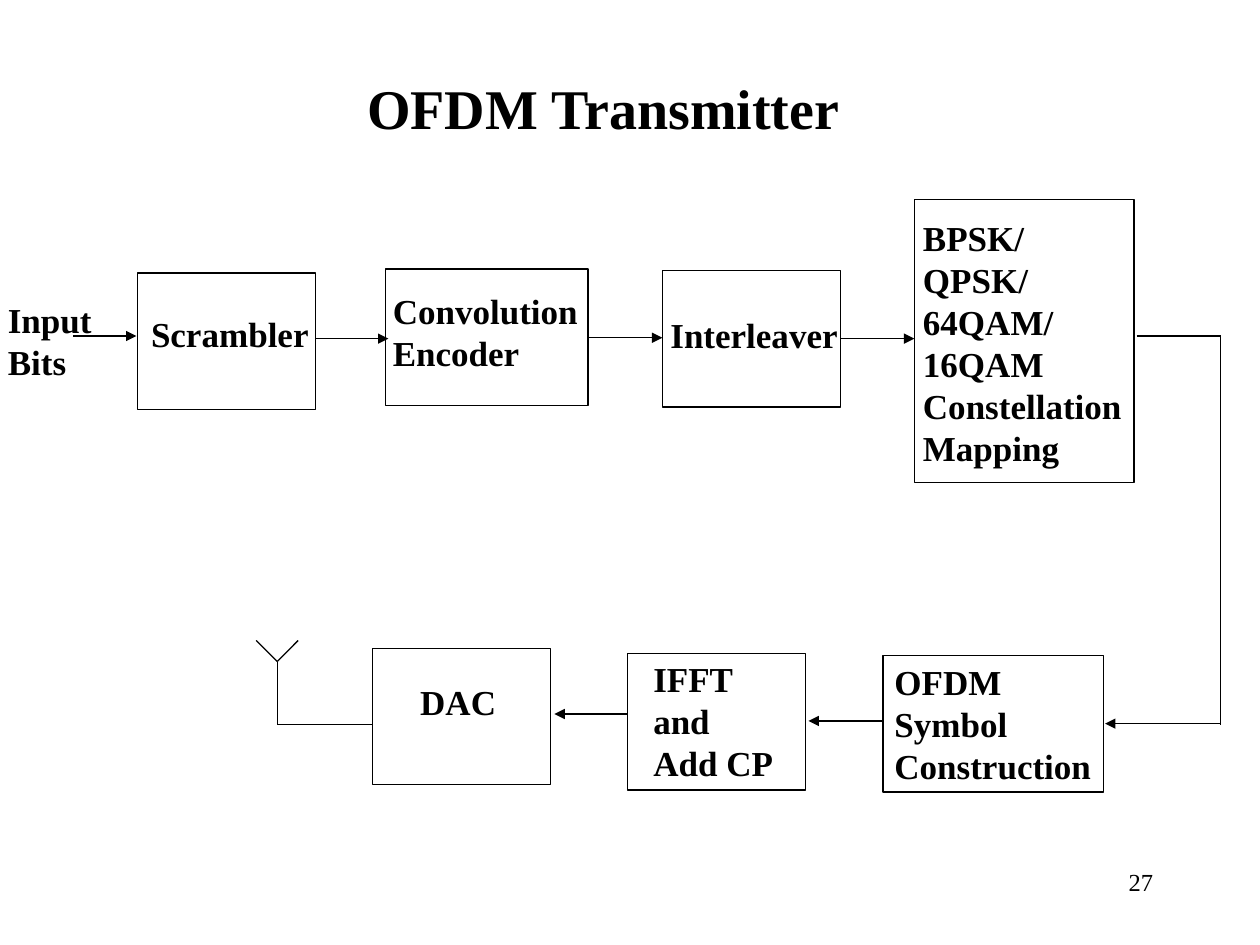
from dataclasses import dataclass

from lxml import etree
from pptx import Presentation
from pptx.dml.color import RGBColor
from pptx.enum.shapes import MSO_CONNECTOR, MSO_SHAPE
from pptx.enum.text import PP_ALIGN
from pptx.oxml.ns import qn
from pptx.util import Pt

RECTANGLE = MSO_SHAPE.RECTANGLE
STRAIGHT = MSO_CONNECTOR.STRAIGHT
LEFT, RIGHT = PP_ALIGN.LEFT, PP_ALIGN.RIGHT


def color(hex_string):
    return RGBColor.from_string(hex_string)


@dataclass
class Diagram:
    page: object
    font: str = "Times New Roman"
    ink: str = "000000"
    line_width: float = 0.75

    def text(self, content, left, top, width, height, size=20, bold=True,
             align=LEFT, wrap=False):
        box = self.page.shapes.add_textbox(Pt(left), Pt(top), Pt(width), Pt(height))
        frame = box.text_frame
        frame.word_wrap = wrap
        frame.text = content
        for para in frame.paragraphs:
            para.alignment = align
            para.font.name = self.font
            para.font.size = Pt(size)
            para.font.bold = bold
            para.font.color.rgb = color(self.ink)

    def block(self, left, top, width=102, height=78):
        shape = self.page.shapes.add_shape(
            RECTANGLE, Pt(left), Pt(top), Pt(width), Pt(height))
        shape.shadow.inherit = False
        shape.fill.background()
        shape.line.color.rgb = color(self.ink)
        shape.line.width = Pt(self.line_width)

    def line(self, x1, y1, x2, y2, arrow=False):
        connector = self.page.shapes.add_connector(
            STRAIGHT, Pt(x1), Pt(y1), Pt(x2), Pt(y2))
        connector.line.color.rgb = color(self.ink)
        connector.line.width = Pt(self.line_width)
        if arrow:
            outline = connector.line._get_or_add_ln()
            etree.SubElement(outline, qn("a:tailEnd"), type="triangle")
        etree.SubElement(connector._element.spPr, qn("a:effectLst"))


def main():
    deck = Presentation()
    deck.slide_width, deck.slide_height = Pt(720), Pt(540)
    diagram = Diagram(deck.slides.add_slide(deck.slide_layouts[6]))

    diagram.text("OFDM Transmitter", 202.7, 38.2, 296, 46, size=32)

    blocks = [
        (78.4, 156.1),
        (220.4, 153.8, 115.6),
        (378.5, 154.6),
        (522.5, 113.9, 125.5, 162),
        (504.5, 374.6, 126),
        (358.5, 373.4),
        (212.7, 370.5),
    ]
    for place in blocks:
        diagram.block(*place)

    labels = [
        ("Input\nBits", -2.6, 167, 65, 55.4),
        ("Scrambler", 79.2, 175, 106, 31.7),
        ("Convolution\nEncoder", 217.4, 162, 122, 55.4),
        ("Interleaver", 376, 175.7, 112, 31.7),
        ("BPSK/\nQPSK/\n64QAM/\n16QAM\nConstellation\nMapping",
         520.3, 120.2, 131, 151.2),
        ("OFDM\nSymbol\nConstruction", 504, 373.7, 129, 79.2),
        ("IFFT\nand\nAdd CP", 366.2, 372.2, 85, 79.2),
        ("DAC", 233, 385.2, 60, 31.7),
    ]
    for label in labels:
        diagram.text(*label)

    # Signal flow: start x, end x, y
    arrows = [
        (42, 78, 192),
        (180, 222, 193.5),
        (336, 378.5, 193),
        (480.5, 522.5, 193.5),
        (697.5, 631.5, 413.5),
        (504, 462, 412),
        (358.5, 316.8, 408),
    ]
    for start, end, y in arrows:
        diagram.line(start, y, end, y, arrow=True)

    # Return path to the lower row
    diagram.line(649.5, 192, 697.5, 192)
    diagram.line(697.5, 192, 697.5, 414)

    # Antenna
    mast, fork, tip, base = 158.4, 378, 366, 414
    diagram.line(mast, base, 212.4, base)
    diagram.line(mast, base, mast, fork)
    for side in (-12, 12):
        diagram.line(mast, fork, mast + side, tip)

    diagram.text("27", 516.2, 491.8, 149.8, 36, size=14, bold=False,
                 align=RIGHT, wrap=True)
    deck.save("out.pptx")


if __name__ == "__main__":
    main()
